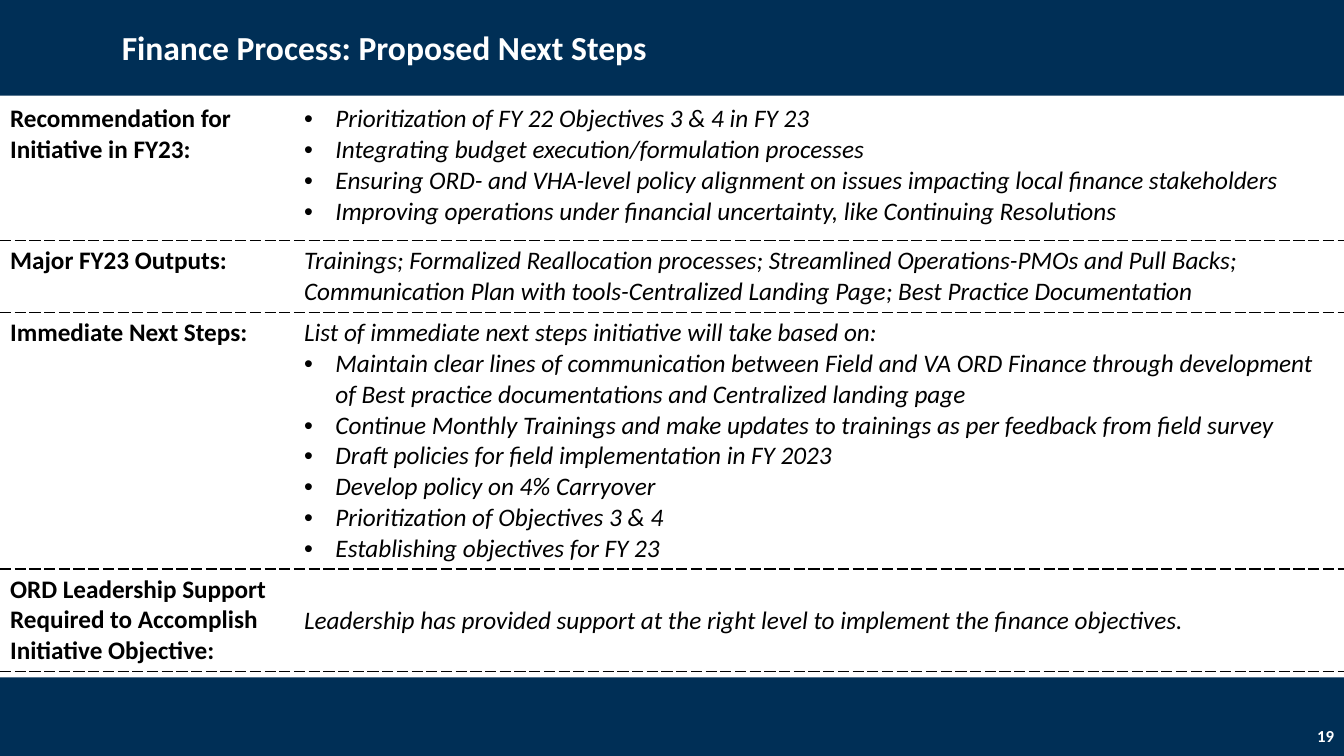
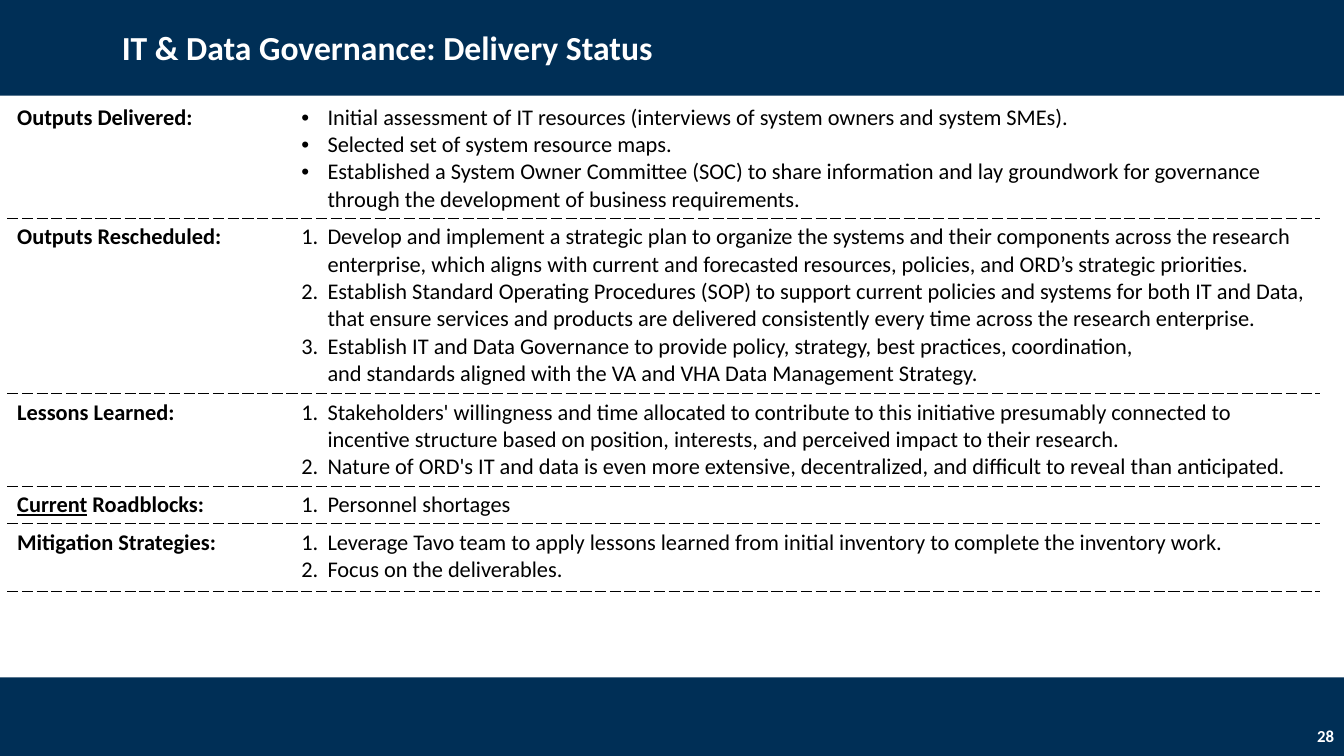
from copy import deepcopy
from dataclasses import dataclass

from lxml.etree import SubElement
from pptx import Presentation
from pptx.dml.color import RGBColor
from pptx.enum.shapes import MSO_SHAPE
from pptx.enum.text import MSO_ANCHOR, PP_ALIGN
from pptx.oxml.ns import qn
from pptx.util import Cm, Pt


@dataclass(frozen=True)
class Theme:
    navy: str = "002F56"
    white: str = "FFFFFF"
    black: str = "000000"
    font: str = "Calibri"
    title_size: int = 24
    number_size: int = 12
    rule_width: int = 1


@dataclass(frozen=True)
class Row:
    height: float
    label: str
    items: tuple
    mark: str = ""  # "bullet", "number" or none
    lead: str = ""  # unmarked line above the items
    underlined: str = ""  # underlined start of the label
    anchor: MSO_ANCHOR = MSO_ANCHOR.TOP


@dataclass(frozen=True)
class Page:
    title: str
    number: str
    left: float
    columns: tuple
    size: int
    indent: float
    italic: bool
    rows: tuple


THEME = Theme()
SLIDE_W, SLIDE_H = 33.87, 19.05
HEADER = (0, 0, SLIDE_W, 2.41)
FOOTER = (0, 17.07, SLIDE_W, 1.98)
TABLE_TOP = 2.49

MARKS = {
    "bullet": (("a:buFont", {"typeface": "Arial"}), ("a:buChar", {"char": "•"})),
    "number": (("a:buFont", {"typeface": "+mj-lt"}),
               ("a:buAutoNum", {"type": "arabicPeriod"})),
}

PAGES = (
    Page(
        "Finance Process: Proposed Next Steps", "19",
        left=0, columns=(7.41, 26.46), size=18, indent=0.79, italic=True,
        rows=(
            Row(3.58, "Recommendation for Initiative in FY23:", (
                "Prioritization of FY 22 Objectives 3 & 4 in FY 23",
                "Integrating budget execution/formulation processes",
                "Ensuring ORD- and VHA-level policy alignment on issues impacting "
                "local finance stakeholders",
                "Improving operations under financial uncertainty, like "
                "Continuing Resolutions",
            ), "bullet"),
            Row(1.81, "Major FY23 Outputs:", (
                "Trainings; Formalized Reallocation processes; Streamlined "
                "Operations-PMOs and Pull Backs; Communication Plan with "
                "tools-Centralized Landing Page; Best Practice Documentation",
            )),
            Row(6.46, "Immediate Next Steps:", (
                "Maintain clear lines of communication between Field and VA ORD "
                "Finance through development of Best practice documentations and "
                "Centralized landing page",
                "Continue Monthly Trainings and make updates to trainings as per "
                "feedback from field survey",
                "Draft policies for field implementation in FY 2023",
                "Develop policy on 4% Carryover",
                "Prioritization of Objectives 3 & 4",
                "Establishing objectives for FY 23",
            ), "bullet",
                lead="List of immediate next steps initiative will take based on:"),
            Row(2.59, "ORD Leadership Support Required to Accomplish "
                "Initiative Objective:", (
                    "Leadership has provided support at the right level to implement "
                    "the finance objectives.",
                ), anchor=MSO_ANCHOR.MIDDLE),
        ),
    ),
    Page(
        "IT & Data Governance: Delivery Status", "28",
        left=0.18, columns=(7.16, 25.93), size=16, indent=0.66, italic=False,
        rows=(
            Row(3.01, "Outputs Delivered:", (
                "Initial assessment of IT resources (interviews of system owners "
                "and system SMEs).",
                "Selected set of system resource maps.",
                "Established a System Owner Committee (SOC) to share information "
                "and lay groundwork for governance through the development of "
                "business requirements.",
            ), "bullet"),
            Row(4.42, "Outputs Rescheduled:", (
                "Develop and implement a strategic plan to organize the systems and "
                "their components across the research enterprise, which aligns with "
                "current and forecasted resources, policies, and ORD’s strategic "
                "priorities.",
                "Establish Standard Operating Procedures (SOP) to support current "
                "policies and systems for both IT and Data, that ensure services and "
                "products are delivered consistently every time across the research "
                "enterprise.",
                "Establish IT and Data Governance to provide policy, strategy, best "
                "practices, coordination,\vand standards aligned with the VA and VHA "
                "Data Management Strategy.",
            ), "number"),
            Row(2.33, "Lessons Learned:", (
                "Stakeholders' willingness and time allocated to contribute to this "
                "initiative presumably connected to incentive structure based on "
                "position, interests, and perceived impact to their research.",
                "Nature of ORD's IT and data is even more extensive, decentralized, "
                "and difficult to reveal than anticipated.",
            ), "number"),
            Row(0.95, " Roadblocks:", ("Personnel shortages",), "number",
                underlined="Current"),
            Row(1.7, "Mitigation Strategies:", (
                "Leverage Tavo team to apply lessons learned from initial inventory "
                "to complete the inventory work.",
                "Focus on the deliverables.",
            ), "number"),
        ),
    ),
)


def format_run(run, size, color, **formats):
    formats = {"name": THEME.font, "size": Pt(size), **formats}
    for attribute, value in formats.items():
        setattr(run.font, attribute, value)
    run.font.color.rgb = RGBColor.from_string(color)


def add_band(slide, box):
    band = slide.shapes.add_shape(MSO_SHAPE.RECTANGLE, *map(Cm, box))
    band.shadow.inherit = False
    band.fill.solid()
    band.fill.fore_color.rgb = RGBColor.from_string(THEME.navy)
    band.line.fill.background()


def add_caption(slide, box, text, size, **paragraph_formats):
    caption = slide.shapes.add_textbox(*map(Cm, box)).text_frame
    caption.word_wrap = True
    caption.vertical_anchor = MSO_ANCHOR.MIDDLE
    line = caption.paragraphs[0]
    for attribute, value in paragraph_formats.items():
        setattr(line, attribute, value)
    run = line.add_run()
    run.text = text
    format_run(run, size, THEME.white, bold=True)


def add_frame(slide, page):
    """Header with title, footer with page number."""
    left, top, width, height = HEADER
    add_band(slide, HEADER)
    add_caption(slide, (left + 2.82, top + 0.3, width - 4.66, height - 0.53),
                page.title, THEME.title_size, line_spacing=0.9)
    left, top, width, height = FOOTER
    add_band(slide, FOOTER)
    add_caption(slide, (left + width - 7.62, top + height - 1.02, 7.62, 1.02),
                page.number, THEME.number_size, alignment=PP_ALIGN.RIGHT)


def style_cell(cell, dashed_sides):
    properties = cell._tc.get_or_add_tcPr()
    for side in "LRTB":
        rule = SubElement(properties, qn(f"a:ln{side}"), w=str(Pt(THEME.rule_width)))
        if side in dashed_sides:
            paint = SubElement(rule, qn("a:solidFill"))
            SubElement(paint, qn("a:srgbClr"), val=THEME.black)
            SubElement(rule, qn("a:prstDash"), val="dash")
        else:
            SubElement(rule, qn("a:noFill"))
    cell.fill.solid()
    cell.fill.fore_color.rgb = RGBColor.from_string(THEME.white)


def write_label(cell, row, page):
    line = cell.text_frame.paragraphs[0]
    for text, underline in ((row.underlined, True), (row.label, False)):
        if text:
            run = line.add_run()
            run.text = text
            format_run(run, page.size, THEME.black, bold=True, underline=underline)


def write_item(line, text, mark, page):
    line.text = text
    for run in line.runs:
        format_run(run, page.size, THEME.black, bold=False, italic=page.italic)
    # Line breaks take the size of the text around them
    for line_break in line._p.findall(qn("a:br")):
        line_break.append(deepcopy(line.runs[0]._r.rPr))
    if mark:
        properties = line._p.get_or_add_pPr()
        properties.set("marL", str(Cm(page.indent)))
        properties.set("indent", str(-Cm(page.indent)))
        for tag, attributes in MARKS[mark]:
            SubElement(properties, qn(tag), attributes)


def write_body(cell, row, page):
    cell.vertical_anchor = row.anchor
    lines = [(row.lead, "")] if row.lead else []
    lines += [(item, row.mark) for item in row.items]
    body = cell.text_frame
    for index, (text, mark) in enumerate(lines):
        line = body.add_paragraph() if index else body.paragraphs[0]
        write_item(line, text, mark, page)


def add_status_table(slide, page):
    box = (page.left, TABLE_TOP, sum(page.columns), sum(r.height for r in page.rows))
    table = slide.shapes.add_table(
        len(page.rows), len(page.columns), *map(Cm, box)).table
    table.first_row = table.horz_banding = False
    for column, width in zip(table.columns, page.columns):
        column.width = Cm(width)
    for index, row in enumerate(page.rows):
        table.rows[index].height = Cm(row.height)
        label, body = table.cell(index, 0), table.cell(index, 1)
        for cell in (label, body):
            style_cell(cell, "TB" if index else "B")
        write_label(label, row, page)
        write_body(body, row, page)


def main():
    deck = Presentation()
    deck.slide_width, deck.slide_height = Cm(SLIDE_W), Cm(SLIDE_H)
    for page in PAGES:
        slide = deck.slides.add_slide(deck.slide_layouts[6])
        add_frame(slide, page)
        add_status_table(slide, page)
    deck.save("out.pptx")


if __name__ == "__main__":
    main()
